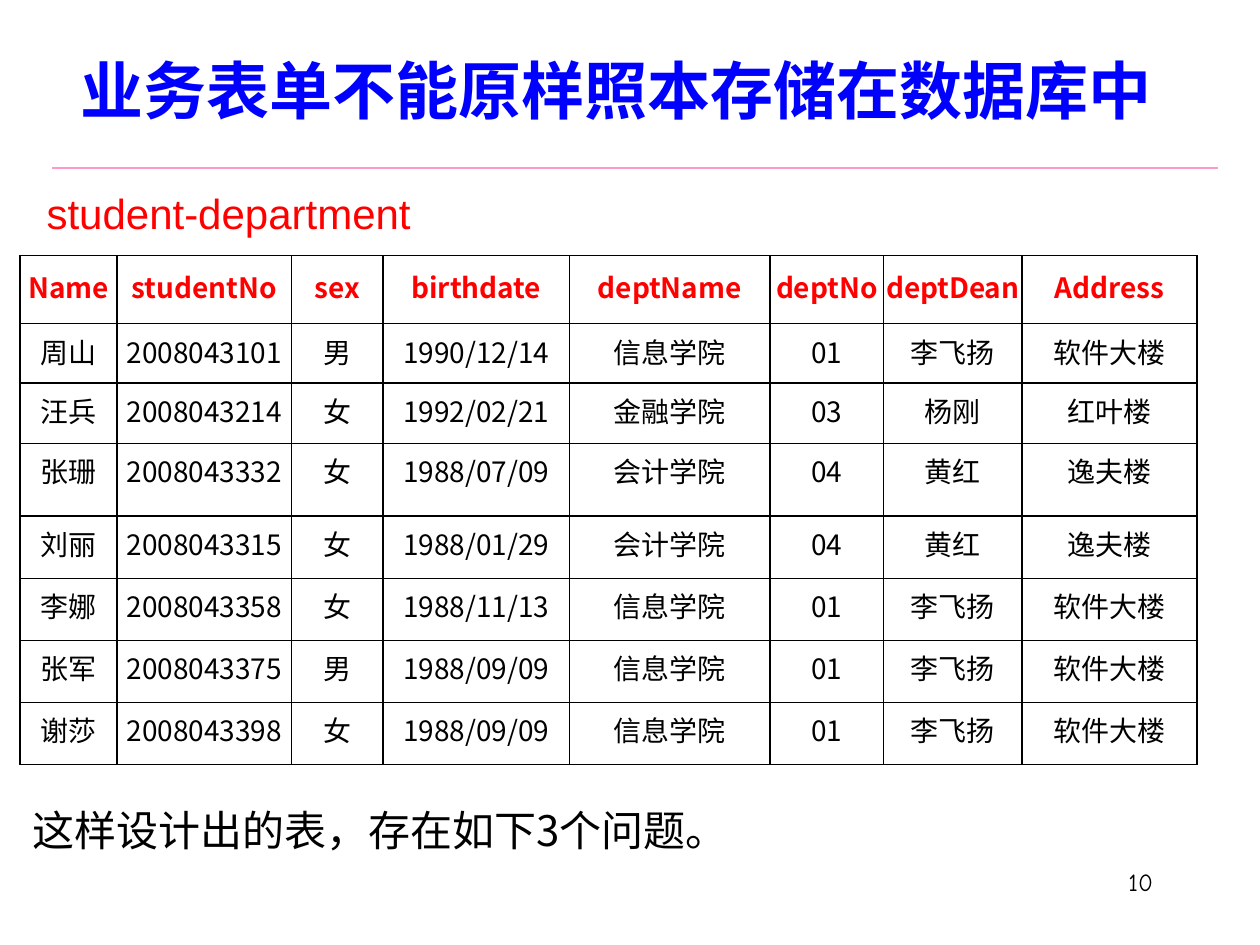
from lxml import etree
from pptx import Presentation
from pptx.dml.color import RGBColor
from pptx.enum.shapes import MSO_CONNECTOR
from pptx.enum.text import MSO_ANCHOR, PP_ALIGN
from pptx.oxml.ns import qn
from pptx.util import Pt

LEFT, CENTER, RIGHT = PP_ALIGN.LEFT, PP_ALIGN.CENTER, PP_ALIGN.RIGHT
TOP, MIDDLE = MSO_ANCHOR.TOP, MSO_ANCHOR.MIDDLE
STRAIGHT = MSO_CONNECTOR.STRAIGHT

COLORS = {"title": "0000FF", "accent": "FF0000", "text": "000000", "rule": "FF99CC"}
CJK, LATIN, NUMBER = "Noto Sans CJK SC", "Arial", "Comic Neue"

TEXTS = [
    {"text": "10", "box": (516, 492, 150, 36), "align": RIGHT, "anchor": TOP, "wrap": True,
     "font": {"name": NUMBER, "size": 14, "color": "text"}},
    {"text": "业务表单不能原样照本存储在数据库中", "box": (20, 12, 664, 78),
     "align": CENTER, "anchor": MIDDLE, "wrap": True,
     "font": {"name": CJK, "size": 36, "color": "title", "bold": True}},
    {"text": "student-department", "box": (19.5, 103.5, 234, 36),
     "align": LEFT, "anchor": MIDDLE, "wrap": True,
     "font": {"name": LATIN, "size": 24, "color": "accent"}},
    {"text": "这样设计出的表，存在如下3个问题。", "box": (11.5, 456, 412.5, 36),
     "align": LEFT, "anchor": TOP, "wrap": False,
     "font": {"name": CJK, "size": 24, "color": "text"}},
]

STUDENTS = [
    ("Name", "studentNo", "sex", "birthdate", "deptName", "deptNo", "deptDean", "Address"),
    ("周山", "2008043101", "男", "1990/12/14", "信息学院", "01", "李飞扬", "软件大楼"),
    ("汪兵", "2008043214", "女", "1992/02/21", "金融学院", "03", "杨刚", "红叶楼"),
    ("张珊", "2008043332", "女", "1988/07/09", "会计学院", "04", "黄红", "逸夫楼"),
    ("刘丽", "2008043315", "女", "1988/01/29", "会计学院", "04", "黄红", "逸夫楼"),
    ("李娜", "2008043358", "女", "1988/11/13", "信息学院", "01", "李飞扬", "软件大楼"),
    ("张军", "2008043375", "男", "1988/09/09", "信息学院", "01", "李飞扬", "软件大楼"),
    ("谢莎", "2008043398", "女", "1988/09/09", "信息学院", "01", "李飞扬", "软件大楼"),
]
TABLE_LEFT, TABLE_TOP = 11.5, 146
COLUMN_WIDTHS = [55.5, 99.5, 52.5, 106.5, 114.5, 65, 79, 100]
ROW_HEIGHTS = [39, 34, 34.5, 41.5, 35.5, 35.5, 35.5, 35.5]
HEADER = {"font": {"name": CJK, "size": 16, "color": "accent", "bold": True},
          "margins": {"margin_left": 0, "margin_top": 6, "margin_right": 0, "margin_bottom": 0}}
BODY = {"font": {"name": CJK, "size": 16, "color": "text", "bold": False},
        "margins": {"margin_left": 0, "margin_top": 4, "margin_right": 0, "margin_bottom": 4}}


def write(frame, text, align, font):
    paragraph = frame.paragraphs[0]
    paragraph.alignment = align
    run = paragraph.add_run()
    run.text = text
    values = {"name": font["name"], "size": Pt(font["size"]), "bold": font.get("bold", False)}
    for key, value in values.items():
        setattr(run.font, key, value)
    run.font.color.rgb = RGBColor.from_string(COLORS[font["color"]])
    east_asian = etree.SubElement(run.font._element, qn("a:ea"))
    east_asian.set("typeface", font["name"])


def add_borders(cell):
    properties = cell._tc.get_or_add_tcPr()
    for position, side in enumerate(("a:lnL", "a:lnR", "a:lnT", "a:lnB")):
        border = etree.Element(qn(side), w=str(Pt(1)))
        fill = etree.SubElement(border, qn("a:solidFill"))
        etree.SubElement(fill, qn("a:srgbClr"), val=COLORS["text"])
        properties.insert(position, border)


def add_students(slide):
    table = slide.shapes.add_table(
        len(STUDENTS), len(COLUMN_WIDTHS), Pt(TABLE_LEFT), Pt(TABLE_TOP),
        Pt(sum(COLUMN_WIDTHS)), Pt(sum(ROW_HEIGHTS))).table
    table.first_row = table.horz_banding = False
    for column, width in zip(table.columns, COLUMN_WIDTHS):
        column.width = Pt(width)
    for index, (row, height, student) in enumerate(zip(table.rows, ROW_HEIGHTS, STUDENTS)):
        row.height = Pt(height)
        style = BODY if index else HEADER
        for cell, value in zip(row.cells, student):
            for key, margin in style["margins"].items():
                setattr(cell, key, Pt(margin))
            cell.fill.background()
            add_borders(cell)
            write(cell.text_frame, value, CENTER, style["font"])


def add_rule(slide):
    rule = slide.shapes.add_connector(STRAIGHT, Pt(30), Pt(96), Pt(696), Pt(96))
    rule.line.color.rgb = RGBColor.from_string(COLORS["rule"])
    rule.line.width = Pt(1.5)
    etree.SubElement(rule._element.spPr, qn("a:effectLst"))


def main():
    deck = Presentation()
    deck.slide_width, deck.slide_height = Pt(720), Pt(540)
    slide = deck.slides.add_slide(deck.slide_layouts[6])
    add_rule(slide)
    add_students(slide)
    for item in TEXTS:
        frame = slide.shapes.add_textbox(*map(Pt, item["box"])).text_frame
        frame.word_wrap = item["wrap"]
        frame.vertical_anchor = item["anchor"]
        write(frame, item["text"], item["align"], item["font"])
    deck.save("out.pptx")


if __name__ == "__main__":
    main()
